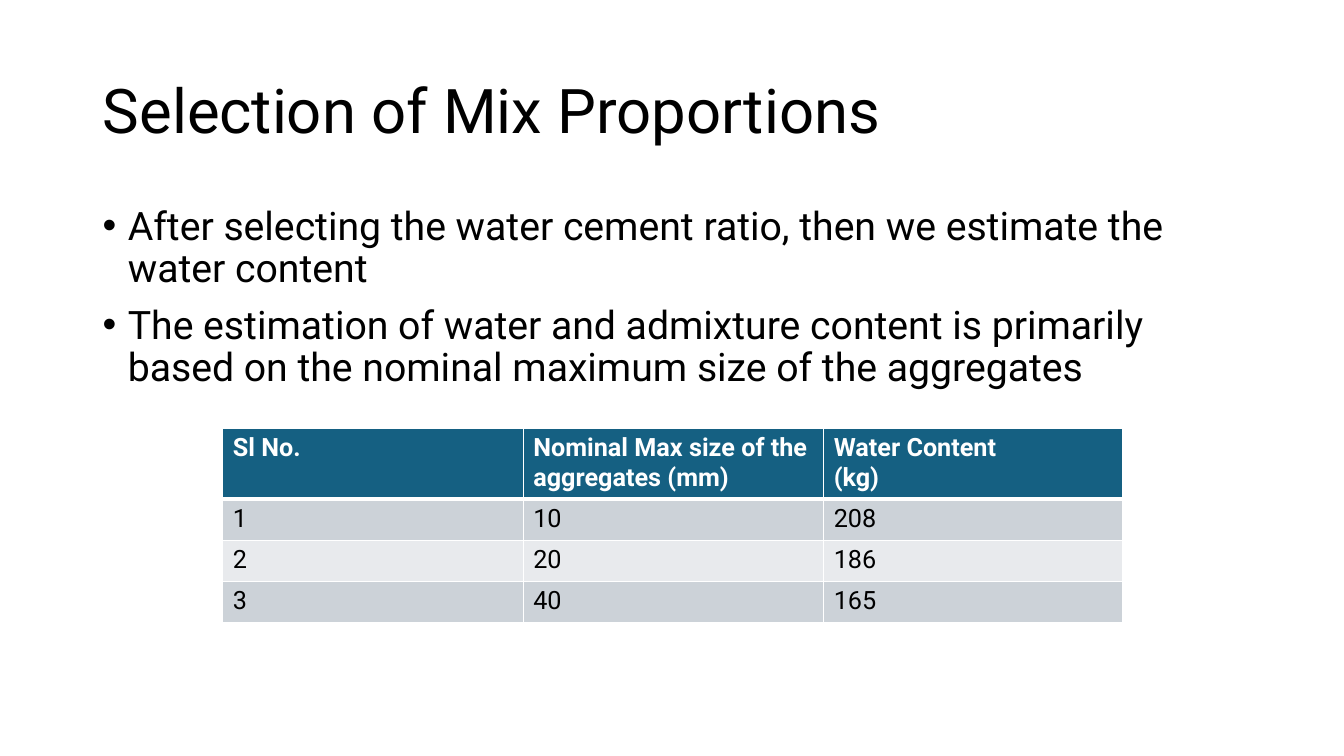
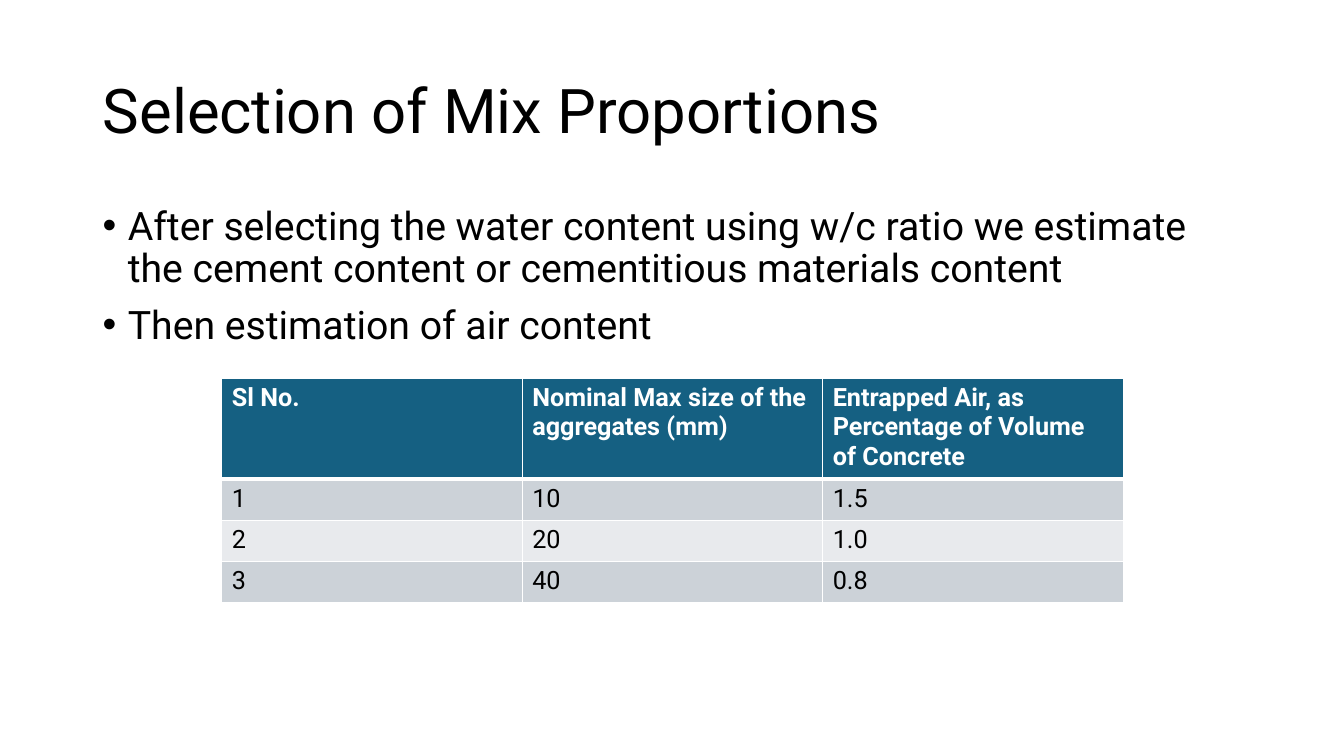
from lxml.etree import SubElement
from pptx import Presentation
from pptx.dml.color import RGBColor
from pptx.enum.text import MSO_ANCHOR, PP_ALIGN
from pptx.oxml.ns import qn
from pptx.util import Inches, Pt

FONT = "Roboto"
BLACK = RGBColor(0x00, 0x00, 0x00)
WHITE = RGBColor(0xFF, 0xFF, 0xFF)
TEAL = RGBColor(0x15, 0x60, 0x82)
BAND_DARK = RGBColor(0xCC, 0xD2, 0xD8)
BAND_LIGHT = RGBColor(0xE8, 0xEA, 0xED)


def add_bullet(paragraph):
    properties = paragraph._p.get_or_add_pPr()
    properties.set("marL", str(Inches(0.25)))
    properties.set("indent", str(-Inches(0.25)))
    SubElement(properties, qn("a:buFont"), typeface="Arial")
    SubElement(properties, qn("a:buChar"), char="•")


def write_text(frame, text, size=18, color=BLACK, bold=False, bullet=False,
               line_spacing=1.0, space_before=0):
    for index, line in enumerate(text.split("\n")):
        paragraph = frame.add_paragraph() if index else frame.paragraphs[0]
        if bullet:
            add_bullet(paragraph)
        paragraph.alignment = PP_ALIGN.LEFT
        paragraph.line_spacing = line_spacing
        paragraph.space_before = Pt(space_before if index else 0)
        run = paragraph.add_run()
        run.text = line
        run.font.name = FONT
        run.font.size = Pt(size)
        run.font.bold = bold
        run.font.color.rgb = color


def set_borders(cell, top, bottom):
    properties = cell._tc.get_or_add_tcPr()
    for side, width in (("L", 1), ("R", 1), ("T", top), ("B", bottom)):
        border = SubElement(properties, qn(f"a:ln{side}"), w=str(Pt(width)))
        fill = SubElement(border, qn("a:solidFill"))
        SubElement(fill, qn("a:srgbClr"), val=str(WHITE))


class Deck:
    left = Inches(0.92)
    width = Inches(11.5)
    column_width = Inches(2.98)
    row_height = Inches(0.41)

    def __init__(self):
        self.presentation = Presentation()
        self.presentation.slide_width = Inches(13.33)
        self.presentation.slide_height = Inches(7.5)
        self.slide = None

    def add_slide(self, heading):
        layout = self.presentation.slide_layouts[5]
        self.slide = self.presentation.slides.add_slide(layout)
        title = self.slide.shapes.title
        title.left, title.top = self.left, Inches(0.4)
        title.width, title.height = self.width, Inches(1.45)
        title.text_frame.vertical_anchor = MSO_ANCHOR.MIDDLE
        write_text(title.text_frame, heading, size=44, line_spacing=0.9)

    def add_bullets(self, points):
        body = self.slide.shapes.add_textbox(
            self.left, Inches(2), self.width, Inches(4.76))
        body.text_frame.word_wrap = True
        write_text(body.text_frame, "\n".join(points), size=28, bullet=True,
                   line_spacing=0.9, space_before=10)

    def add_table(self, rows, left, top, header_height):
        columns = len(rows[0])
        height = header_height + self.row_height * (len(rows) - 1)
        table = self.slide.shapes.add_table(
            len(rows), columns, left, top,
            self.column_width * columns, height).table
        for column in table.columns:
            column.width = self.column_width
        for row_index, values in enumerate(rows):
            header = row_index == 0
            band = BAND_DARK if row_index % 2 else BAND_LIGHT
            table.rows[row_index].height = header_height if header else self.row_height
            for column_index, value in enumerate(values):
                cell = table.cell(row_index, column_index)
                set_borders(cell, top=3 if row_index == 1 else 1,
                            bottom=3 if header else 1)
                cell.fill.solid()
                cell.fill.fore_color.rgb = TEAL if header else band
                write_text(cell.text_frame, value, bold=header,
                           color=WHITE if header else BLACK)
        return table


def main():
    deck = Deck()
    heading = "Selection of Mix Proportions"
    sizes = ("10", "20", "40")

    def table_rows(measure, amounts):
        header = ("Sl No.", "Nominal Max size of the aggregates (mm)", measure)
        return [header] + [(str(number), size, amount) for number, (size, amount)
                           in enumerate(zip(sizes, amounts), start=1)]

    deck.add_slide(heading)
    deck.add_bullets([
        "After selecting the water cement ratio, then we estimate the water content",
        "The estimation of water and admixture content is primarily based on "
        "the nominal maximum size of the aggregates",
    ])
    water_table = deck.add_table(
        table_rows("Water Content\n(kg)", ("208", "186", "165")),
        left=Inches(2.21), top=Inches(4.25), header_height=Inches(0.68))
    water_table.columns[2].width = Inches(2.96)

    deck.add_slide(heading)
    deck.add_bullets([
        "After selecting the water content using w/c ratio we estimate the "
        "cement content or cementitious materials content",
        "Then estimation of air content",
    ])
    deck.add_table(
        table_rows("Entrapped Air, as Percentage of Volume of Concrete",
                   ("1.5", "1.0", "0.8")),
        left=Inches(2.2), top=Inches(3.75), header_height=Inches(0.98))

    deck.presentation.save("out.pptx")


if __name__ == "__main__":
    main()
